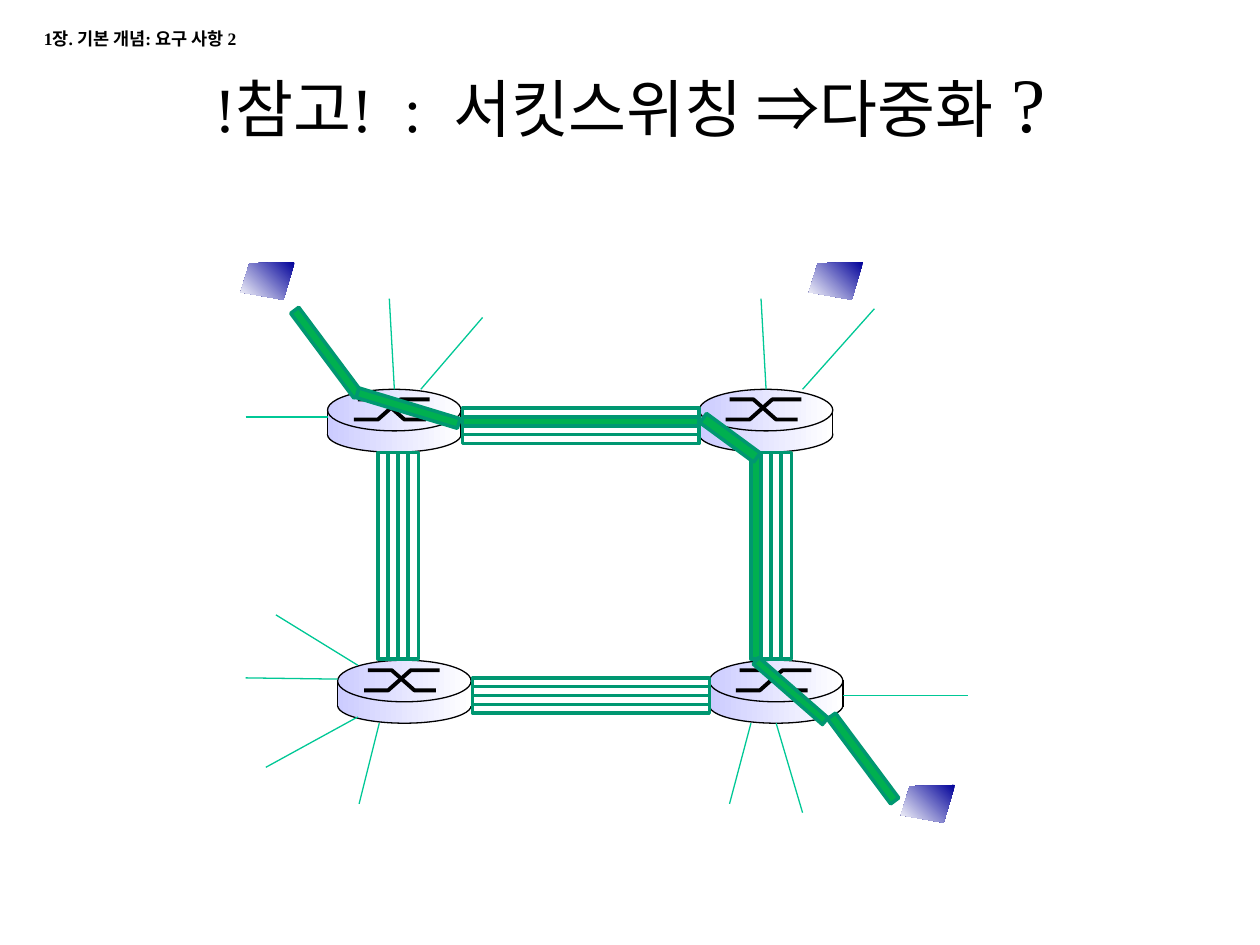
from lxml.etree import SubElement
from pptx import Presentation
from pptx.dml.color import RGBColor
from pptx.enum.shapes import MSO_CONNECTOR as Connector, MSO_SHAPE as Shape
from pptx.enum.text import MSO_ANCHOR as Anchor, MSO_AUTO_SIZE as AutoSize, PP_ALIGN as Align
from pptx.oxml.ns import qn
from pptx.util import Inches, Pt

COLORS = {
    "black": "000000",
    "white": "FFFFFF",
    "navy": "000099",
    "lavender": "CCCCFF",
    "circuit": "00B050",
    "border": "009771",
    "wire": "00C896",
}
SERIF = "Times New Roman"
KOREAN = "Noto Sans CJK KR"


class NetworkSlide:
    def __init__(self, deck):
        self.page = deck.slides.add_slide(deck.slide_layouts[5])
        self.shapes = self.page.shapes

    def color(self, name):
        return RGBColor.from_string(COLORS[name])

    def add_span(self, para, text, size, latin=SERIF, bold=False):
        span = para.add_run()
        span.text = text
        span.font.size = Pt(size)
        span.font.bold = bold
        span.font.color.rgb = self.color("black")
        span.font.name = latin
        SubElement(span.font._element, qn("a:ea")).set("typeface", KOREAN)

    def title(self, left, top, width, height, spans):
        box = self.shapes.title
        box.left, box.top = Inches(left), Inches(top)
        box.width, box.height = Inches(width), Inches(height)
        frame = box.text_frame
        frame.auto_size = AutoSize.NONE
        frame.vertical_anchor = Anchor.MIDDLE
        para = frame.paragraphs[0]
        para.alignment = Align.CENTER
        for text, size, latin in spans:
            self.add_span(para, text, size, latin)

    def label(self, left, top, width, height, text, size):
        box = self.shapes.add_textbox(Inches(left), Inches(top), Inches(width), Inches(height))
        frame = box.text_frame
        frame.word_wrap = True
        frame.auto_size = AutoSize.SHAPE_TO_FIT_TEXT
        self.add_span(frame.paragraphs[0], text, size, bold=True)

    def outline(self, shape, color, width):
        if color:
            shape.line.color.rgb = self.color(color)
            shape.line.width = Pt(width)
        else:
            shape.line.fill.background()

    def gradient(self, shape, start, end, angle):
        shape.fill.gradient()
        shape.fill.gradient_angle = angle
        for stop, name, position in zip(shape.fill.gradient_stops, (start, end), (0, 1)):
            stop.color.rgb = self.color(name)
            stop.position = position

    def preset(self, kind, left, top, width, height):
        shape = self.shapes.add_shape(
            kind, Inches(left), Inches(top), Inches(width), Inches(height))
        shape.shadow.inherit = False
        return shape

    def freeform(self, left, top, points, close):
        corners = [(Inches(left + x), Inches(top + y)) for x, y in points]
        builder = self.shapes.build_freeform(*corners[0])
        builder.add_line_segments(corners[1:], close=close)
        shape = builder.convert_to_shape()
        shape.shadow.inherit = False
        return shape

    def line(self, start, end, color):
        connector = self.shapes.add_connector(
            Connector.STRAIGHT, *(Inches(value) for value in start + end))
        self.outline(connector, color, 0.75)
        SubElement(connector._element.spPr, qn("a:effectLst"))

    def bar(self, left, top, width, height, rotation=0, lit=True):
        shape = self.preset(Shape.RECTANGLE, left, top, width, height)
        shape.rotation = rotation
        if lit:
            shape.fill.solid()
            shape.fill.fore_color.rgb = self.color("circuit")
        else:
            shape.fill.background()
        self.outline(shape, "border", 2)

    def horizontal_link(self, left, top, lit_channel=None):
        for channel in range(4):
            self.bar(left, top + 0.07 * channel, 1.88, 0.07, lit=channel == lit_channel)

    def vertical_link(self, left, top, lit_channel=None):
        for channel in reversed(range(4)):
            self.bar(left + 0.08 * channel, top, 1.64, 0.08, 90, channel == lit_channel)

    def terminal(self, left, top):
        corners = [(0.43, 0), (0.07, 0.01), (0, 0.24), (0.34, 0.3)]
        shape = self.freeform(left, top, corners, True)
        self.gradient(shape, "navy", "white", 225)
        self.outline(shape, None, 0)

    def router(self, left, top):
        parts = [
            (Shape.OVAL, 0.22, 0.28, "black"),
            (Shape.RECTANGLE, 0.19, 0.17, None),
            (Shape.OVAL, 0, 0.33, "black"),
        ]
        for kind, drop, height, edge in parts:
            shape = self.preset(kind, left, top + drop, 1.06, height)
            self.gradient(shape, "lavender", "white", 0)
            self.outline(shape, edge, 0.75)
        crossing = [
            [(0.21, 0.24), (0.4, 0.24), (0.58, 0.08), (0.81, 0.08)],
            [(0.24, 0.08), (0.43, 0.08), (0.61, 0.24), (0.78, 0.24)],
        ]
        for points in crossing:
            shape = self.freeform(left, top, points, False)
            shape.fill.background()
            self.outline(shape, "black", 2.25)
        for side in (left, left + 1.06):
            self.line((side, top + 0.16), (side, top + 0.37), "black")


def main():
    deck = Presentation()
    deck.slide_width, deck.slide_height = Inches(10), Inches(7.5)
    slide = NetworkSlide(deck)

    slide.title(0.75, 0.36, 8.5, 0.89, [
        ("!참고!  :  서킷스위칭 ", 36, SERIF),
        ("⇒", 36, KOREAN),
        ("다중화", 36, SERIF),
        (" ?", 44, SERIF),
    ])
    slide.label(0.25, 0.17, 2.33, 0.27, "1장. 기본 개념: 요구 사항 2", 10)

    for place in [(1.91, 2.08), (6.42, 2.08), (7.15, 6.23)]:
        slide.terminal(*place)
    for place in [(2.6, 3.09), (5.55, 3.09), (2.68, 5.24), (5.63, 5.24)]:
        slide.router(*place)

    slide.horizontal_link(3.67, 3.24, lit_channel=1)
    slide.horizontal_link(3.75, 5.38)
    slide.vertical_link(2.22, 4.37)
    slide.vertical_link(5.18, 4.37, lit_channel=0)

    wires = [
        ((3.09, 2.37), (3.13, 3.09)),
        ((3.83, 2.52), (3.34, 3.09)),
        ((1.95, 3.31), (2.6, 3.31)),
        ((1.95, 5.38), (2.68, 5.39)),
        ((2.19, 4.88), (2.84, 5.28)),
        ((2.11, 6.09), (2.84, 5.69)),
        ((2.85, 6.38), (3.01, 5.74)),
        ((7.68, 5.52), (6.69, 5.52)),
        ((6.37, 6.45), (6.16, 5.74)),
        ((5.79, 6.38), (5.96, 5.74)),
        ((6.04, 2.37), (6.08, 3.09)),
        ((6.94, 2.45), (6.37, 3.09)),
    ]
    for start, end in wires:
        slide.line(start, end, "wire")

    circuit = [
        (2.17, 2.76, 0.84, 0.08, 53.3),
        (6.43, 5.98, 0.84, 0.08, 53.3),
        (2.82, 3.2, 0.84, 0.08, 16.9),
        (5.91, 5.45, 0.73, 0.07, 41.1),
        (5.53, 3.43, 0.53, 0.09, 36.3),
    ]
    for segment in circuit:
        slide.bar(*segment)

    deck.save("out.pptx")


if __name__ == "__main__":
    main()
